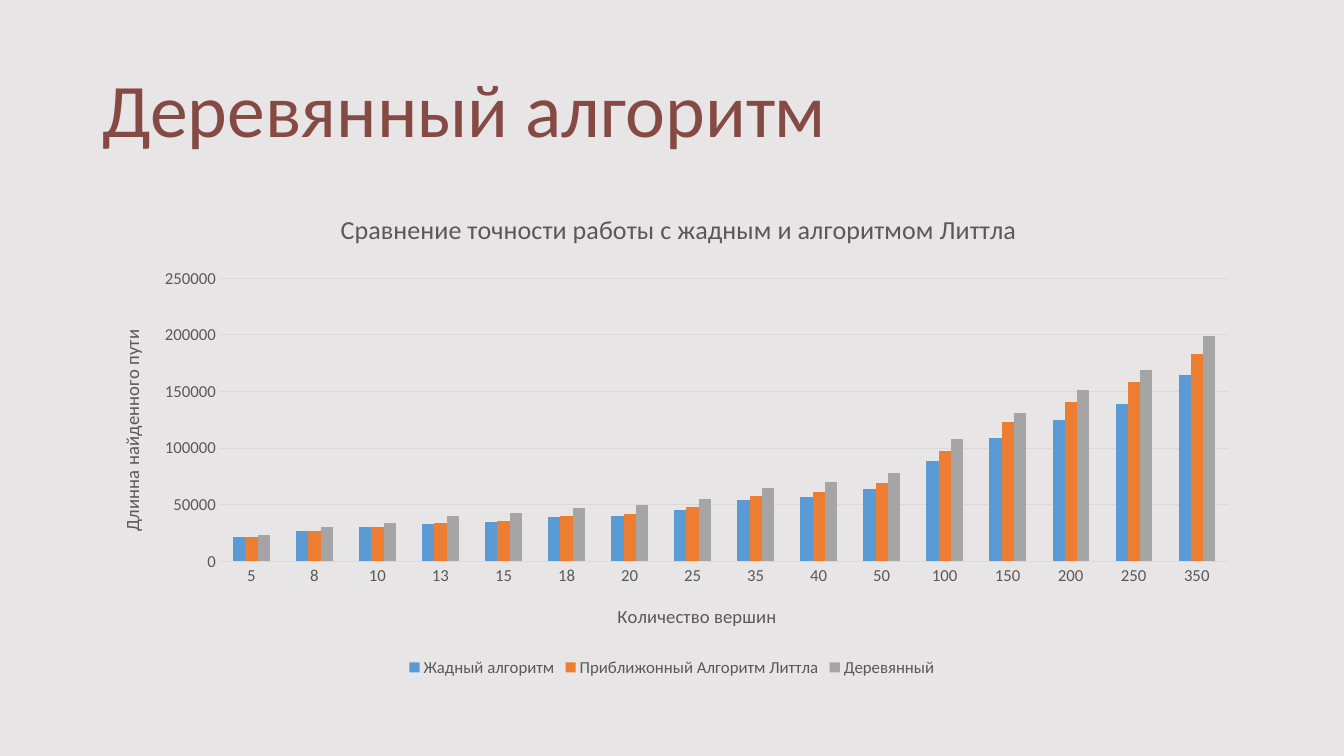
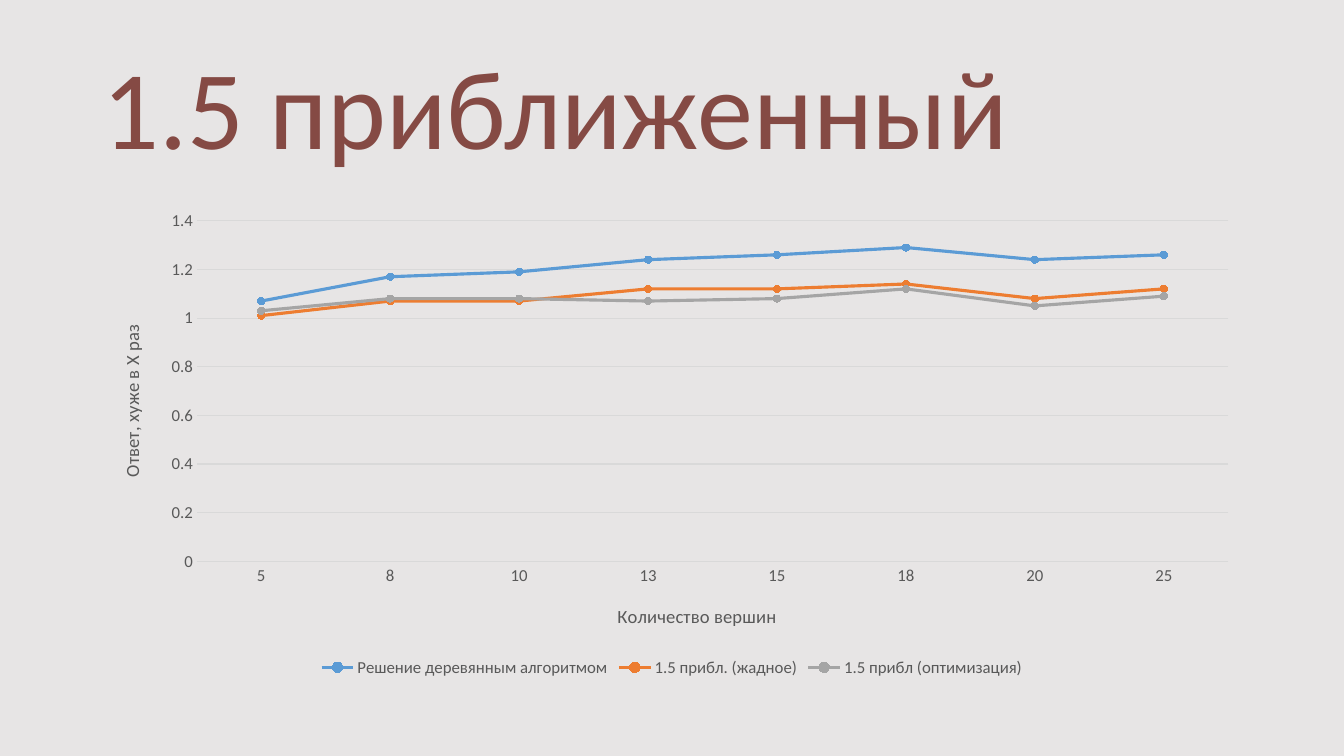
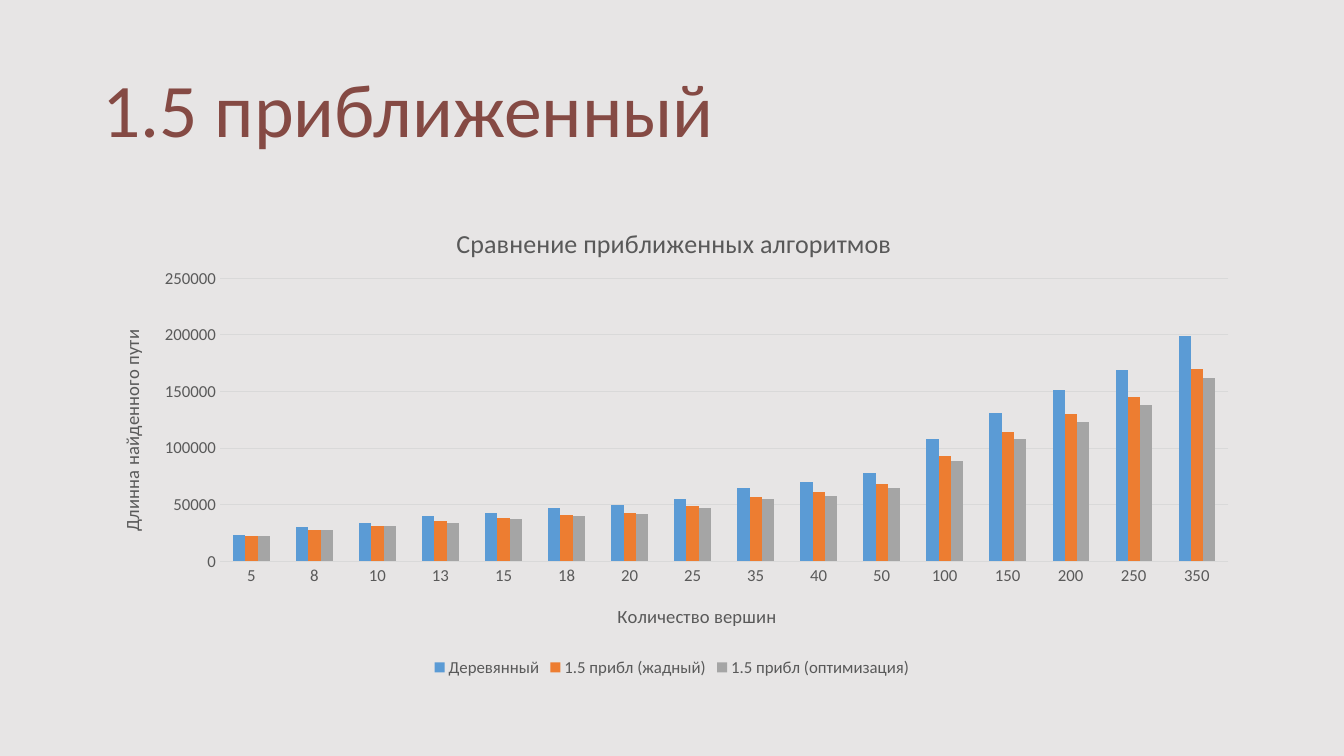
"""Build three slides comparing tour algorithms with charts."""
import pptx
import pptx.chart.data
import pptx.dml.color
import pptx.enum.chart
import pptx.enum.text
import pptx.oxml
import pptx.oxml.ns
import pptx.util

Cm, Pt = pptx.util.Cm, pptx.util.Pt
XL = pptx.enum.chart

FONT = "Calibri"
BACKGROUND, TITLE_COLOR, TEXT_COLOR, GRID_COLOR = "E7E5E5", "854A44", "595959", "D9D9D9"
SERIES_COLORS = ["5B9BD5", "ED7D31", "A5A5A5"]
TITLE_BOX = (Cm(2.33), Cm(1.01), Cm(29.21), Cm(3.68))
CHART_BOX = (Cm(2.33), Cm(5.08), Cm(29.21), Cm(12.09))

SIZES = ["5", "8", "10", "13", "15", "18", "20", "25", "35", "40", "50",
         "100", "150", "200", "250", "350"]
TREE = [23000, 30000, 34000, 40000, 43000, 47000, 50000, 55000, 65000, 70000, 78000,
        108000, 131000, 151000, 169000, 199000]
COLUMNS, LINES = XL.XL_CHART_TYPE.COLUMN_CLUSTERED, XL.XL_CHART_TYPE.LINE_MARKERS
COLUMN_PLOT, LINE_PLOT = (0.11, 0.16, 0.87, 0.59), (0.09, 0.04, 0.89, 0.71)

SLIDES = [
    {
        "title": "Деревянный алгоритм", "size": 54, "type": COLUMNS, "plot": COLUMN_PLOT,
        "heading": "Сравнение точности работы с жадным и алгоритмом Литтла",
        "heading_at": (0.21, 0.01),
        "y_title": "Длинна найденного пути", "y_title_at": (0.02, 0.26),
        "scale": (250000, 50000), "cats": SIZES,
        "series": [
            ("Жадный алгоритм",
             [21000, 27000, 30000, 33000, 35000, 39000, 40000, 45000, 54000, 57000, 64000,
              89000, 109000, 125000, 139000, 165000]),
            ("Приближонный Алгоритм Литтла",
             [21000, 27000, 30000, 34000, 36000, 40000, 42000, 48000, 58000, 61000, 69000,
              97000, 123000, 141000, 158000, 183000]),
            ("Деревянный", TREE),
        ],
    },
    {
        "title": "1.5 приближенный", "size": 80, "type": LINES, "plot": LINE_PLOT,
        "heading": None,
        "y_title": "Ответ, хуже в X раз", "y_title_at": (0.02, 0.25),
        "scale": (1.4, 0.2), "cats": SIZES[:8],
        "series": [
            ("Решение деревянным алгоритмом", [1.07, 1.17, 1.19, 1.24, 1.26, 1.29, 1.24, 1.26]),
            ("1.5 прибл. (жадное)", [1.01, 1.07, 1.07, 1.12, 1.12, 1.14, 1.08, 1.12]),
            ("1.5 прибл (оптимизация)", [1.03, 1.08, 1.08, 1.07, 1.08, 1.12, 1.05, 1.09]),
        ],
    },
    {
        "title": "1.5 приближенный", "size": 54, "type": COLUMNS, "plot": COLUMN_PLOT,
        "heading": "Сравнение приближенных алгоритмов", "heading_at": (0.31, 0.04),
        "y_title": "Длинна найденного пути", "y_title_at": (0.02, 0.26),
        "scale": (250000, 50000), "cats": SIZES,
        "series": [
            ("Деревянный", TREE),
            ("1.5 прибл (жадный)",
             [22000, 28000, 31000, 36000, 38000, 41000, 43000, 49000, 57000, 61000, 68000,
              93000, 114000, 130000, 145000, 170000]),
            ("1.5 прибл (оптимизация)",
             [22000, 28000, 31000, 34000, 37000, 40000, 42000, 47000, 55000, 58000, 65000,
              89000, 108000, 123000, 138000, 162000]),
        ],
    },
]


def rgb(color):
    """Turn a hex string into a colour."""
    return pptx.dml.color.RGBColor.from_string(color)


def set_font(font, size, color):
    """Apply the deck font in a size and colour."""
    font.name, font.size, font.bold = FONT, Pt(size), False
    font.color.rgb = rgb(color)


def set_line(line, color, width):
    """Give a line its colour and width."""
    line.color.rgb = rgb(color)
    line.width = Pt(width)


def place(element, index, position, inner=False):
    """Set the manual layout of a chart part, in fractions of the chart."""
    for old in element.findall(pptx.oxml.ns.qn("c:layout")):
        element.remove(old)
    target = '<c:layoutTarget val="inner"/>' if inner else ""
    modes = '<c:xMode val="edge"/><c:yMode val="edge"/>'
    values = "".join(f'<c:{k} val="{v}"/>' for k, v in zip("xywh", position))
    element.insert(index, pptx.oxml.parse_xml(
        f'<c:layout {pptx.oxml.ns.nsdecls("c")}><c:manualLayout>'
        f'{target}{modes}{values}</c:manualLayout></c:layout>'))


def add_chart_title(owner, title, text, size, position, rotation=0):
    """Write and place the title of a chart or an axis."""
    tf = title.text_frame
    r = tf.paragraphs[0].add_run()
    r.text = text
    set_font(r.font, size, TEXT_COLOR)
    body = tf._txBody.bodyPr
    body.set("rot", str(rotation * 60000))
    body.set("vert", "horz")
    place(title._element, 1, position)


def add_title(s, text, size):
    """Add the slide title."""
    tf = s.shapes.add_textbox(*TITLE_BOX).text_frame
    tf.word_wrap = True
    tf.vertical_anchor = pptx.enum.text.MSO_ANCHOR.MIDDLE
    p = tf.paragraphs[0]
    p.line_spacing = 0.9
    r = p.add_run()
    r.text = text
    set_font(r.font, size, TITLE_COLOR)


def style_axes(chart, content):
    """Style both axes and their titles."""
    x, y = chart.category_axis, chart.value_axis
    for axis in (x, y):
        axis.major_tick_mark = axis.minor_tick_mark = XL.XL_TICK_MARK.NONE
        set_font(axis.tick_labels.font, 12, TEXT_COLOR)
    x.has_major_gridlines = False
    set_line(x.format.line, GRID_COLOR, 0.75)
    y.format.line.fill.background()
    y.has_major_gridlines = True
    set_line(y.major_gridlines.format.line, GRID_COLOR, 0.75)
    y.minimum_scale = 0
    y.maximum_scale, y.major_unit = content["scale"]
    add_chart_title(x, x.axis_title, "Количество вершин", 13.3, (0.45, 0.83))
    add_chart_title(y, y.axis_title, content["y_title"], 13.3, content["y_title_at"], -90)


def style_series(series, color, is_line):
    """Colour one series."""
    if not is_line:
        series.format.fill.solid()
        series.format.fill.fore_color.rgb = rgb(color)
        return
    series.smooth = False
    set_line(series.format.line, color, 2.25)
    marker = series.marker
    marker.style, marker.size = XL.XL_MARKER_STYLE.CIRCLE, 5
    marker.format.fill.solid()
    marker.format.fill.fore_color.rgb = rgb(color)
    set_line(marker.format.line, color, 0.75)


def add_chart(s, content):
    """Add the chart of one slide."""
    data = pptx.chart.data.CategoryChartData()
    data.categories = content["cats"]
    for name, values in content["series"]:
        data.add_series(name, values)
    chart = s.shapes.add_chart(content["type"], *CHART_BOX, data).chart
    set_font(chart.font, 12, TEXT_COLOR)
    chart.has_title = content["heading"] is not None
    if chart.has_title:
        add_chart_title(chart, chart.chart_title, content["heading"], 18.6,
                        content["heading_at"])
    chart.has_legend = True
    chart.legend.position = XL.XL_LEGEND_POSITION.BOTTOM
    chart.legend.include_in_layout = False
    set_font(chart.legend.font, 12, TEXT_COLOR)
    style_axes(chart, content)
    plot = chart.plots[0]
    plot.vary_by_categories = False
    is_line = content["type"] == LINES
    if not is_line:
        plot.gap_width, plot.overlap = 219, 0
    for series, color in zip(plot.series, SERIES_COLORS):
        style_series(series, color, is_line)
    place(chart._chartSpace.chart.plotArea, 0, content["plot"], inner=True)


def main():
    """Build and save the deck."""
    prs = pptx.Presentation()
    prs.slide_width, prs.slide_height = Cm(33.87), Cm(19.05)
    for content in SLIDES:
        s = prs.slides.add_slide(prs.slide_layouts[6])
        s.background.fill.solid()
        s.background.fill.fore_color.rgb = rgb(BACKGROUND)
        add_title(s, content["title"], content["size"])
        add_chart(s, content)
    prs.save("out.pptx")


if __name__ == "__main__":
    main()
